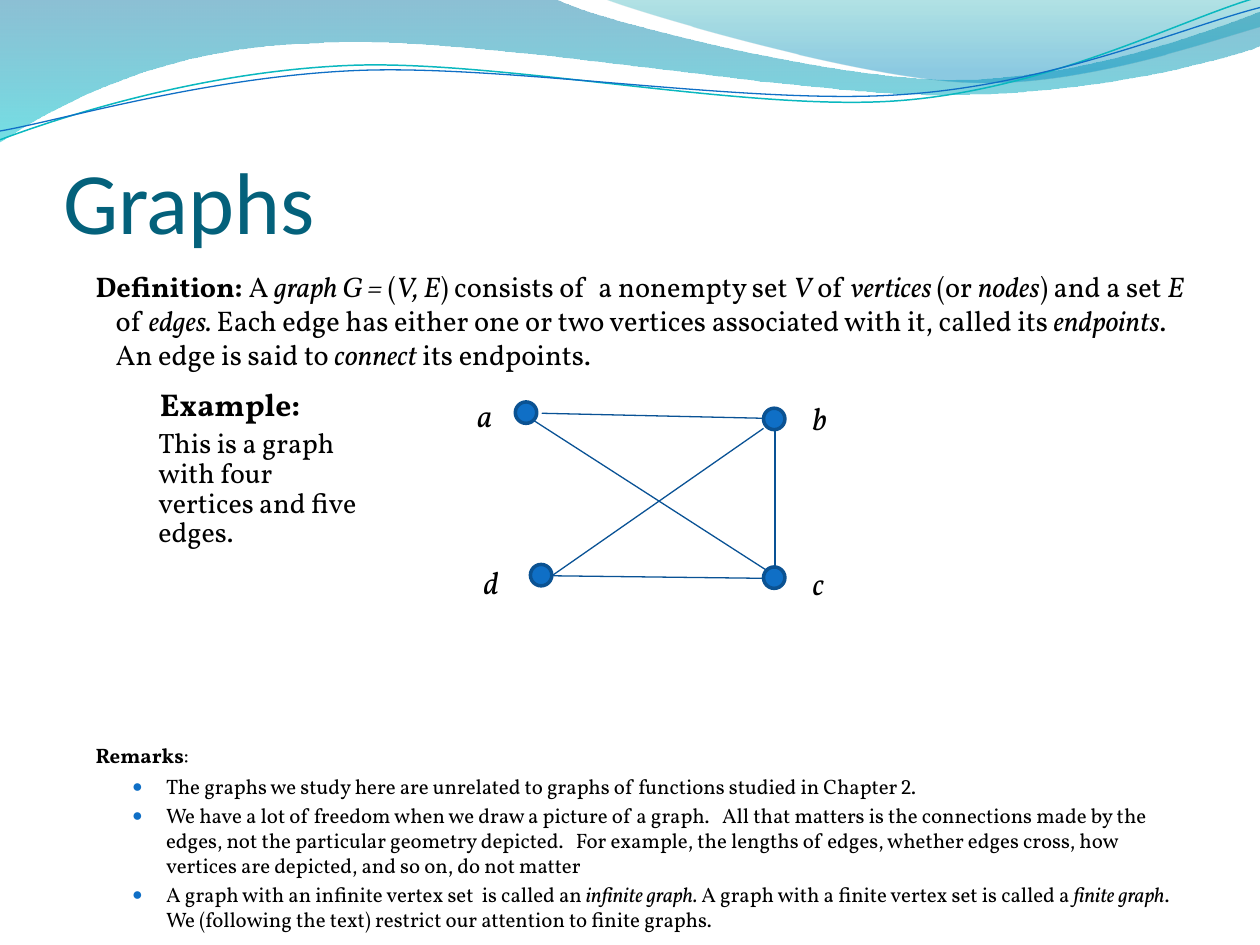
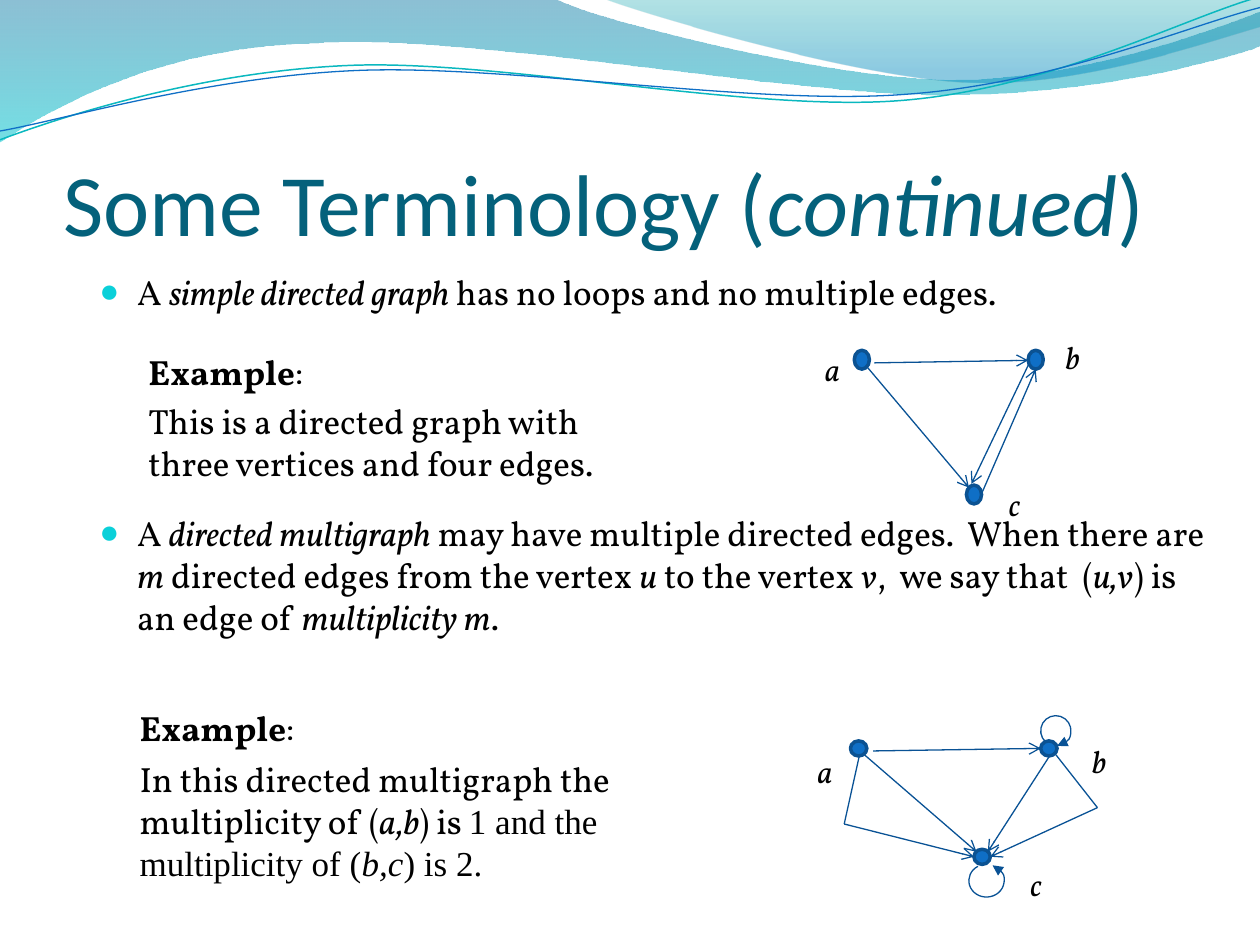
import math

from lxml import etree
from pptx import Presentation
from pptx.dml.color import RGBColor
from pptx.enum.shapes import MSO_CONNECTOR, MSO_SHAPE
from pptx.enum.text import MSO_ANCHOR, MSO_AUTO_SIZE, PP_ALIGN
from pptx.oxml.ns import qn
from pptx.util import Cm, Pt

STRAIGHT = MSO_CONNECTOR.STRAIGHT
OVAL = MSO_SHAPE.OVAL
BOTTOM = MSO_ANCHOR.BOTTOM
NO_AUTOFIT = MSO_AUTO_SIZE.NONE
LEFT = PP_ALIGN.LEFT

TITLE_COLOR = RGBColor(0x04, 0x61, 0x7B)
BLACK = RGBColor(0x00, 0x00, 0x00)
NODE_FILL = RGBColor(0x0F, 0x6F, 0xC6)
NODE_LINE = RGBColor(0x0B, 0x52, 0x92)
EDGE_COLOR = RGBColor(0x09, 0x52, 0x95)
TEAL = RGBColor(0x0A, 0xB8, 0xBF)
BULLET_CYAN = RGBColor(0x0B, 0xD0, 0xD9)
DEEP_BLUE = RGBColor(0x00, 0x74, 0xA1)
AQUA = RGBColor(0x00, 0xC6, 0xCF)
SEA_GREEN = RGBColor(0x00, 0xA1, 0xA9)
SKY_BLUE = RGBColor(0x00, 0x8B, 0xBF)

TITLE_FONT, BODY_FONT = "Calibri", "Vollkorn"
SERIF_FONT, DIGIT_FONT = "Times New Roman", "Cambria"

# Each curve is (control, control, end); a bare pair is a straight step.
WAVE_BACK = [
    (0, 0), (4.4, -0.01),
    ((4.76, 0.17), (6.64, 0.63), (7.58, 0.63)),
    ((8.53, 0.63), (9.58, 0.26), (10, 0.09)), (10.01, 0.36),
    ((9.83, 0.44), (8.7, 0.76), (7.46, 0.75)),
    ((6.22, 0.75), (3.82, 0.28), (2.57, 0.34)),
    ((1.29, 0.36), (0.46, 0.83), (-0.01, 1.13)),
]
WAVE_FRONT = [
    (4.79, -0.01),
    ((5.09, 0.11), (6.82, 0.62), (7.69, 0.65)),
    ((8.56, 0.69), (9.61, 0.32), (10, 0.21)), (10, 0),
]
TEAL_STRAND = [
    (0, 1.11),
    ((0.48, 0.93), (1.58, 0.57), (2.77, 0.52)),
    ((3.95, 0.47), (5.93, 0.89), (7.13, 0.8)),
    ((8.33, 0.71), (9.38, 0.15), (9.98, -0.02)),
]
BLUE_STRAND = [
    (0, 1.04),
    ((0.47, 0.96), (1.64, 0.61), (2.83, 0.56)),
    ((4.03, 0.51), (5.97, 0.84), (7.17, 0.75)),
    ((8.36, 0.67), (9.41, 0.21), (10, 0.06)),
]


def inches(value):
    """Slide coordinates are in inches; lengths are handed over as Cm."""
    return Cm(value * 2.54)


def arc(center, radii, start, end, pieces=4):
    """Curves along an ellipse, angles in degrees clockwise from the right."""
    turn = math.radians(end - start) / pieces
    reach = 4 / 3 * math.tan(turn / 4)

    def place(angle, along):
        x = math.cos(angle) - along * math.sin(angle)
        y = math.sin(angle) + along * math.cos(angle)
        return center[0] + radii[0] * x, center[1] + radii[1] * y

    angles = [math.radians(start) + turn * n for n in range(pieces + 1)]
    curves = [(place(first, reach), place(last, -reach), place(last, 0))
              for first, last in zip(angles, angles[1:])]
    return [place(angles[0], 0), *curves]


class GraphDeck:
    def __init__(self):
        self.deck = Presentation()
        self.deck.slide_width, self.deck.slide_height = inches(10), inches(7.5)
        self.page = None

    def add_page(self, title, top):
        self.page = self.deck.slides.add_slide(self.deck.slide_layouts[5])
        self.wave(WAVE_BACK, ((0, DEEP_BLUE, 45), (1, AQUA, 55)))
        self.wave(WAVE_FRONT, ((0, SEA_GREEN, 30), (0.8, SKY_BLUE, 45)))
        self.curve(TEAL_STRAND, TEAL, 0.85)
        self.curve(BLUE_STRAND, NODE_FILL, 0.75)

        box = self.page.shapes.title
        box.left, box.top, box.width, box.height = map(inches, (0.5, top, 9, 1.25))
        frame = box.text_frame
        frame.auto_size, frame.vertical_anchor = NO_AUTOFIT, BOTTOM
        frame.margin_left = frame.margin_right = frame.margin_bottom = 0
        frame.margin_top = inches(0.05)
        para = frame.paragraphs[0]
        para.alignment = LEFT
        self.spans(para, title, 50, TITLE_FONT, TITLE_COLOR)

    def spans(self, para, parts, size, font=BODY_FONT, color=BLACK):
        """Each part is (text, style letters from "bi", optional font)."""
        for text, style, *other_font in parts:
            span = para.add_run()
            span.text = text
            span.font.size, span.font.color.rgb = Pt(size), color
            span.font.name = other_font[0] if other_font else font
            span.font.bold, span.font.italic = "b" in style, "i" in style

    def text(self, place, parts, size, spacing=None):
        """Add a box with one paragraph and return its text frame."""
        box = self.page.shapes.add_textbox(*map(inches, place))
        frame = box.text_frame
        frame.word_wrap = True
        para = frame.paragraphs[0]
        if spacing:
            para.line_spacing = Pt(spacing)
        self.spans(para, parts, size)
        return frame

    def more(self, frame, parts, size, gap):
        """Add a paragraph, gap points below the one before."""
        para = frame.add_paragraph()
        para.space_before = Pt(gap)
        self.spans(para, parts, size)
        return para

    def indent(self, para, margin, first):
        properties = para._p.get_or_add_pPr()
        properties.set("marL", str(inches(margin)))
        properties.set("indent", str(inches(first)))

    def bullet(self, para, color, percent, margin, first):
        self.indent(para, margin, first)
        properties = para._p.get_or_add_pPr()
        paint = etree.SubElement(properties, qn("a:buClr"))
        etree.SubElement(paint, qn("a:srgbClr"), val=str(color))
        etree.SubElement(properties, qn("a:buSzPct"), val=str(percent * 1000))
        etree.SubElement(properties, qn("a:buFont"), typeface=SERIF_FONT)
        etree.SubElement(properties, qn("a:buChar"), char="●")

    def outline(self, parts, close):
        """Lay out every point as a straight step, then join threes into curves."""
        points = []
        for part in parts:
            points.extend(part if len(part) == 3 else [part])
        (x, y), *rest = [(inches(x), inches(y)) for x, y in points]
        builder = self.page.shapes.build_freeform(x, y)
        builder.add_line_segments(rest, close=close)
        shape = builder.convert_to_shape()
        shape.shadow.inherit = False

        steps = iter(list(shape._element.spPr.iter(qn("a:lnTo"))))
        for part in parts[1:]:
            step = next(steps)
            if len(part) == 3:
                step.tag = qn("a:cubicBezTo")
                for other in (next(steps), next(steps)):
                    step.append(other[0])
                    other.getparent().remove(other)
        return shape

    def wave(self, parts, stops):
        shape = self.outline(parts, True)
        shape.line.fill.background()
        shape.fill.gradient()
        shape.fill.gradient_angle = 270
        for stop, (position, color, _) in zip(shape.fill.gradient_stops, stops):
            stop.position, stop.color.rgb = position, color
        paints = shape._element.spPr.iter(qn("a:srgbClr"))
        for paint, (_, _, opacity) in zip(list(paints), stops):
            etree.SubElement(paint, qn("a:alpha"), val=str(opacity * 1000))

    def stroke(self, shape, color, width, tip=None):
        shape.line.color.rgb, shape.line.width = color, Pt(width)
        if tip:
            line = shape._element.spPr.find(qn("a:ln"))
            etree.SubElement(line, qn("a:tailEnd"), type=tip)

    def curve(self, parts, color, width, tip=None):
        shape = self.outline(parts, False)
        shape.fill.background()
        self.stroke(shape, color, width, tip)

    def edge(self, x1, y1, x2, y2, tip=None):
        line = self.page.shapes.add_connector(STRAIGHT, *map(inches, (x1, y1, x2, y2)))
        self.stroke(line, EDGE_COLOR, 0.75, tip)
        etree.SubElement(line._element.spPr, qn("a:effectLst"))

    def vertices(self, dot_size, label_size, nodes):
        """Each node is (letter, dot corner, label corner)."""
        for letter, dot, label in nodes:
            shape = self.page.shapes.add_shape(OVAL, *map(inches, dot + dot_size))
            shape.shadow.inherit = False
            shape.fill.solid()
            shape.fill.fore_color.rgb = NODE_FILL
            self.stroke(shape, NODE_LINE, 2)
            self.text(label + label_size, [(letter, "i")], 18)


def graphs_page(deck):
    deck.add_page([("Graphs", "")], 0.75)
    body = deck.text((0.52, 2.09, 9, 4.8), [
        ("Definition:", "b"), (" A ", ""), ("graph G = ", "i"), ("(", ""), ("V, E", "i"),
        (") consists of  a nonempty set ", ""), ("V", "i"), (" of ", ""),
        ("vertices ", "i"), ("(or ", ""), ("nodes", "i"), (") and a set ", ""),
        ("E", "i"), (" of ", ""), ("edges. ", "i"),
        ("Each edge has either one or two vertices associated with it, called its ", ""),
        ("endpoints", "i"), (".  An edge is said to ", ""), ("connect", "i"),
        (" its endpoints.", "")], 16.2)
    size = 11.9
    deck.more(body, [("Remarks", "b"), (":", "")], size, 212)
    for para in body.paragraphs:
        deck.indent(para, 0.3, -0.16)
    remarks = [
        (3.5, [("The graphs we study here are unrelated to graphs of functions studied in "
                "Chapter ", ""), ("2", "", DIGIT_FONT), (".", "")]),
        (2.4, [("We have a lot of freedom when we draw a picture of a graph.   All that matters "
                "is the connections made by the edges, not the particular geometry depicted.   "
                "For example, the lengths of edges, whether edges cross, how vertices are "
                "depicted, and so on, do not matter", "")]),
        (2.4, [("A graph with an infinite vertex set  is called an ", ""),
               ("infinite graph. ", "i"), ("A graph with a finite vertex set is called a ", ""),
               ("finite graph", "i"),
               (". We (following the text) restrict our attention to finite graphs.", "")]),
    ]
    for gap, remark in remarks:
        deck.bullet(deck.more(body, remark, size, gap), NODE_FILL, 85, 0.7, -0.27)

    for ends in ((4.24, 3.34, 6.09, 4.53), (4.38, 4.57, 6.06, 3.4), (4.3, 3.28, 6.06, 3.32),
                 (6.15, 3.4, 6.15, 4.5), (4.38, 4.57, 6.06, 4.59)):
        deck.edge(*ends)
    deck.vertices((0.17, 0.17), (0.35, 0.27), [
        ("a", (4.09, 3.19), (3.69, 3.09)), ("b", (6.06, 3.24), (6.35, 3.12)),
        ("c", (6.06, 4.5), (6.35, 4.43)), ("d", (4.21, 4.48), (3.74, 4.42))])
    deck.text((1.17, 3.01, 1.38, 0.4), [("Example:", "b")], 18)
    deck.text((1.16, 3.36, 1.83, 1.05),
              [("This is a graph with four vertices and five edges.", "")], 16, spacing=17)


def terminology_page(deck):
    deck.add_page([("Some Terminology (", ""), ("continued", "i"), (")", "")], 0.77)
    body = deck.text((0.69, 2.1, 9, 4.8), [
        ("A ", ""), ("simple directed graph ", "i"),
        ("has no loops and no multiple edges.", "")], 20)
    deck.more(body, [
        ("A ", ""), ("directed multigraph", "i"),
        (" may have multiple directed edges.  When there are ", ""), ("m", "i"),
        (" directed edges from the vertex ", ""), ("u", "i"), (" to the vertex ", ""),
        ("v", "i"), (",  we say that  (", ""), ("u,v", "i"), (") is an edge of ", ""),
        ("multiplicity m", "i"), (".", "")], 20, 113.5)
    for para in body.paragraphs:
        deck.bullet(para, BULLET_CYAN, 95, 0.3, -0.3)

    for left, top in ((1.08, 2.73), (1.01, 5.56)):
        deck.text((left, top, 1.5, 0.44), [("Example", "b"), (":", "")], 20)
    deck.text((1.08, 3.12, 3.84, 0.77),
              [("This is a directed graph with three vertices and four edges.", "")], 20)
    deck.text((1.01, 5.96, 4.3, 1.11), [
        ("In this directed multigraph the multiplicity of (", ""), ("a,b", "i"), (") is ", ""),
        ("1 and the multiplicity of (", "", SERIF_FONT), ("b,c", "i", SERIF_FONT),
        (") is 2.", "", SERIF_FONT)], 20)

    simple_edges = [(6.94, 2.88, 8.16, 2.86), (6.88, 2.91, 7.69, 3.87),
                    (8.16, 2.9, 7.71, 3.84), (7.79, 3.92, 8.22, 2.93)]
    multigraph_edges = [(6.93, 5.96, 8.26, 5.94), (6.86, 5.99, 7.75, 6.76),
                        (8.33, 6, 7.84, 6.76), (6.7, 6.54, 7.73, 6.8),
                        (8.71, 6.41, 7.86, 6.8)]
    for ends in simple_edges + multigraph_edges:
        deck.edge(*ends, tip="arrow")
    for bend in ((6.82, 6, 6.7, 6.54), (8.38, 5.99, 8.71, 6.41)):
        deck.edge(*bend)
    for loop in (((7.83, 6.99), (0.14, 0.13), 241, -70),
                 ((8.38, 5.8), (0.12, 0.12), 132, 445)):
        deck.curve(arc(*loop), EDGE_COLOR, 0.75, "triangle")

    deck.vertices((0.12, 0.15), (0.24, 0.25), [
        ("a", (6.78, 2.78), (6.45, 2.73)), ("b", (8.16, 2.78), (8.36, 2.63)),
        ("c", (7.67, 3.85), (7.91, 3.8))])
    deck.vertices((0.13, 0.12), (0.27, 0.2), [
        ("a", (6.75, 5.88), (6.39, 5.92)), ("b", (8.26, 5.88), (8.57, 5.84)),
        ("c", (7.73, 6.74), (8.08, 6.82))])


def main():
    deck = GraphDeck()
    graphs_page(deck)
    terminology_page(deck)
    deck.deck.save("out.pptx")


if __name__ == "__main__":
    main()
